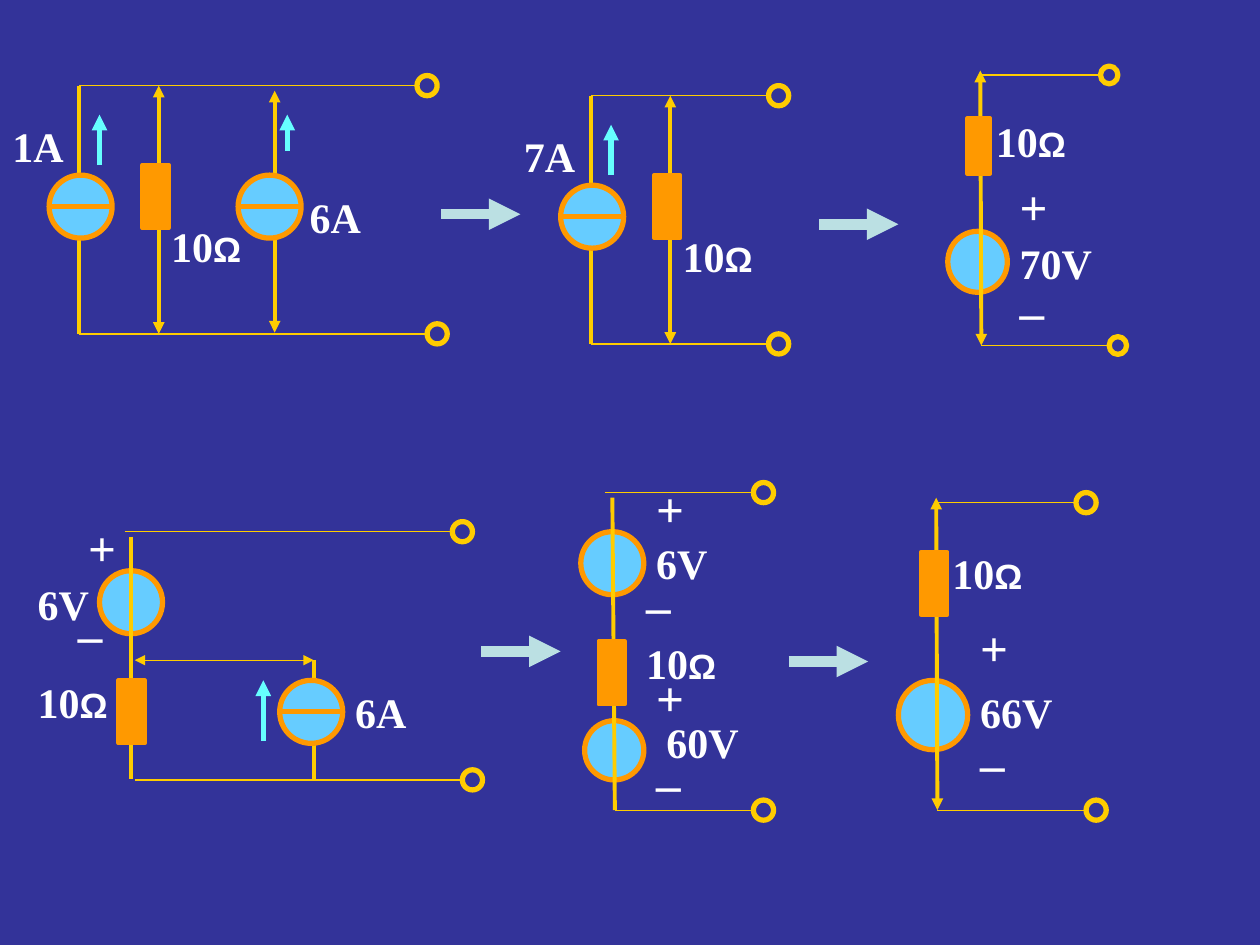
from dataclasses import dataclass

from lxml.etree import SubElement
from pptx import Presentation
from pptx.dml.color import RGBColor
from pptx.enum.shapes import MSO_CONNECTOR as Connector, MSO_SHAPE as Preset
from pptx.oxml.ns import qn
from pptx.util import Inches, Pt


@dataclass(frozen=True)
class Theme:
    background: str = "333399"
    wire: str = "FFCC00"
    component: str = "FF9900"
    source: str = "66CCFF"
    current: str = "66FFFF"
    step: str = "BBE0E3"
    text: str = "FFFFFF"
    serif: str = "Times New Roman"
    sans: str = "Arial"
    label_size: float = 24
    ohm_size: float = 20
    sign_size: float = 28
    thin: float = 0.75
    rail: float = 2.25
    bold: float = 3
    thick: float = 6


THEME = Theme()


@dataclass
class Box:
    """A region whose parts are measured in inches from its own origin."""
    shapes: object
    left: float
    top: float
    scale_x: float = 1
    scale_y: float = 1

    def point(self, x, y):
        return Inches(self.left + x * self.scale_x), Inches(self.top + y * self.scale_y)

    def size(self, width, height):
        return Inches(width * self.scale_x), Inches(height * self.scale_y)


def new_box(page, left, top, scale_x=1, scale_y=1):
    return Box(page.shapes.add_group_shape().shapes, left, top, scale_x, scale_y)


# Basic drawing
def draw_line(box, start, end, *, color=THEME.wire, width=THEME.rail, ends=()):
    line = box.shapes.add_connector(Connector.STRAIGHT, *box.point(*start), *box.point(*end))
    line.line.color.rgb = RGBColor.from_string(color)
    line.line.width = Pt(width)
    properties = line._element.spPr
    for end_name in ends:
        SubElement(properties.find(qn("a:ln")), qn(f"a:{end_name}"), type="triangle")
    SubElement(properties, qn("a:effectLst"))


def draw_shape(box, preset, x, y, width, height, *, fill=None, color=THEME.component,
               weight=THEME.bold):
    shape = box.shapes.add_shape(preset, *box.point(x, y), *box.size(width, height))
    shape.shadow.inherit = False
    if fill:
        shape.fill.solid()
        shape.fill.fore_color.rgb = RGBColor.from_string(fill)
    else:
        shape.fill.background()
    shape.line.color.rgb = RGBColor.from_string(color)
    shape.line.width = Pt(weight)


def add_span(para, text, *, size=THEME.label_size, font=THEME.serif):
    span = para.add_run()
    span.text = text
    span.font.size = Pt(size)
    span.font.name = font
    span.font.bold = True
    span.font.color.rgb = RGBColor.from_string(THEME.text)


def label(box, text, x, y, *, width=0.95, height=0.5, unit="", size=THEME.label_size):
    frame = box.shapes.add_textbox(*box.point(x, y), Inches(width * box.scale_x),
                                   Inches(height)).text_frame
    frame.word_wrap = True
    para = frame.paragraphs[0]
    add_span(para, text, size=size)
    if unit:
        add_span(para, unit, size=THEME.ohm_size, font=THEME.sans)


# Circuit parts
def arrow_line(box, start, end, *, width=THEME.rail):
    draw_line(box, start, end, width=width, ends=("headEnd", "tailEnd"))


def current_arrow(box, x, bottom, top):
    draw_line(box, (x, bottom), (x, top), color=THEME.current, width=THEME.bold, ends=("tailEnd",))


def source(box, x, y, size=0.5):
    draw_shape(box, Preset.OVAL, x, y, size, size, fill=THEME.source)


def current_source(box, x, y, size=0.5):
    source(box, x, y, size)
    middle = y + size / 2
    draw_line(box, (x, middle), (x + size, middle), color=THEME.component, width=THEME.bold)


def resistor(box, x, y):
    draw_shape(box, Preset.RECTANGLE, x, y, 0.21, 0.5, fill=THEME.component, weight=THEME.rail)


def ohms(box, x, y, width=0.87):
    label(box, "10", x, y, width=width, unit="Ω")


def polarity(box, plus, minus):
    for text, place in (("+", plus), ("_", minus)):
        label(box, text, *place, width=0.39, height=0.57, size=THEME.sign_size)


def terminal(box, start, end, y, ring=0.16):
    draw_line(box, (start, y), (end, y), width=THEME.thin)
    draw_shape(box, Preset.OVAL, end, y - ring / 2, ring, ring, color=THEME.wire)


# Current source beside a resistor; the origin is the top of the source rail
def norton(box, current, top_end, bottom_end):
    height = 1.97
    arrow_line(box, (0.63, 0), (0.63, height))
    resistor(box, 0.5, 0.63)
    label(box, current, -0.63, 0.23, width=0.64)
    ohms(box, 0.63, 1.02)
    terminal(box, 0, bottom_end, height)
    terminal(box, 0, top_end, 0)
    draw_line(box, (0, 0), (0, height))
    current_source(box, -0.24, 0.71)
    current_arrow(box, 0.16, 0.63, 0.23)


def parallel_sources(page, left, top):
    box = new_box(page, left, top)
    norton(box, "1A", 2.68, 2.76)
    arrow_line(box, (1.55, 0.04), (1.55, 1.96))
    current_source(box, 1.26, 0.71)
    current_arrow(box, 1.65, 0.52, 0.23)
    label(box, "6A", 1.73, 0.79, width=0.77)


def merged_source(page, left, top):
    norton(new_box(page, left, top), "7A", 1.41, 1.41)


# Resistor and voltage source in series; the origin is the top of the rail
def thevenin(page, left, top, voltage, scale_x=1, scale_y=1):
    box = new_box(page, left, top, scale_x, scale_y)
    source(box, -0.3, 1.45, 0.55)
    arrow_line(box, (0, 0), (0.01, 2.48))
    resistor(box, -0.12, 0.43)
    label(box, voltage, 0.25, 1.45, width=1.02)
    ohms(box, 0.03, 0.35, width=0.94)
    polarity(box, (0.25, 0.9), (0.25, 1.69))
    terminal(box, 0.01, 1.11, 0.04)
    terminal(box, 0.01, 1.19, 2.48)


# Voltage source above a resistor with a current source across it
def mixed_sources(page, left, top):
    box = new_box(page, left, top)
    source(box, -0.25, 0.27)
    draw_line(box, (0, 0), (0, 1.92))
    resistor(box, -0.1, 1.14)
    label(box, "6V", -0.84, 0.28)
    ohms(box, -0.84, 1.06)
    label(box, "6A", 1.68, 1.14, width=0.77)
    polarity(box, (-0.44, -0.2), (-0.52, 0.35))
    terminal(box, 0.03, 2.63, 1.93)
    terminal(box, -0.05, 2.55, -0.04)
    arrow_line(box, (0.03, 0.98), (1.45, 0.98), width=THEME.thin)
    current_arrow(box, 1.05, 1.62, 1.14)
    draw_line(box, (1.45, 0.98), (1.45, 1.93))
    current_source(box, 1.18, 1.14)


# Two voltage sources in series with a resistor
def series_sources(page, left, top):
    box = new_box(page, left, top)
    source(box, -0.22, 1.77, 0.47)
    source(box, -0.25, 0.27)
    draw_line(box, (0, 0), (0.02, 2.48))
    resistor(box, -0.11, 1.14)
    label(box, "60V", 0.33, 1.69, width=0.93)
    polarity(box, (0.25, 1.3), (0.25, 1.85))
    label(box, "6V", 0.25, 0.27)
    ohms(box, 0.17, 1.06)
    polarity(box, (0.25, -0.2), (0.17, 0.43))
    terminal(box, 0.02, 1.12, 2.48)
    terminal(box, -0.06, 1.12, -0.04)


def step_arrow(page, left, top):
    draw_line(Box(page.shapes, left, top), (0, 0), (0.63, 0),
              color=THEME.step, width=THEME.thick, ends=("tailEnd",))


def main():
    deck = Presentation()
    deck.slide_width, deck.slide_height = Inches(10), Inches(7.5)
    page = deck.slides.add_slide(deck.slide_layouts[6])
    page.background.fill.solid()
    page.background.fill.fore_color.rgb = RGBColor.from_string(THEME.background)

    # Upper row
    parallel_sources(page, 0.63, 0.68)
    merged_source(page, 4.69, 0.76)
    thevenin(page, 7.78, 0.56, "70V", scale_x=0.86, scale_y=0.88)

    # Lower row
    mixed_sources(page, 1.04, 4.26)
    series_sources(page, 4.86, 3.95)
    thevenin(page, 7.43, 3.95, "66V")

    # Arrows between the steps
    for left, top in ((3.5, 1.7), (6.5, 1.78), (3.82, 5.17), (6.26, 5.25)):
        step_arrow(page, left, top)

    deck.save("out.pptx")


if __name__ == "__main__":
    main()
